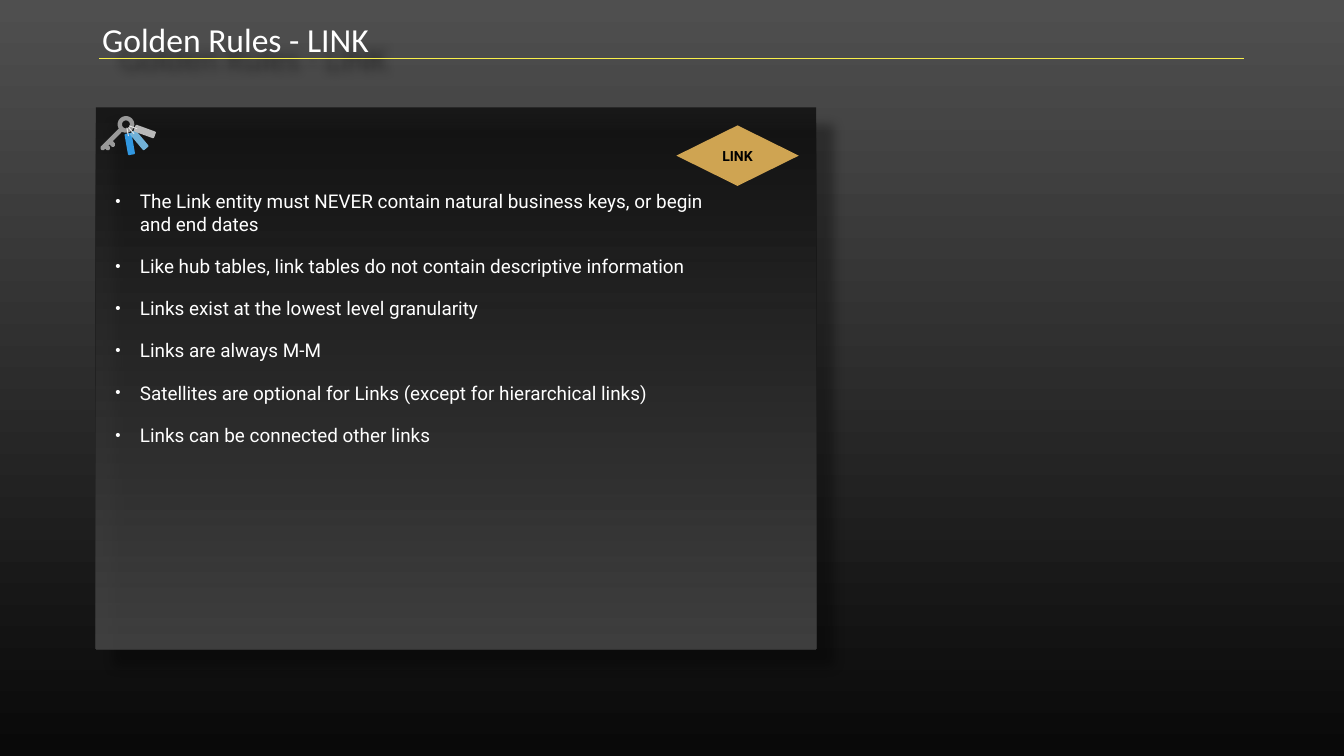
from dataclasses import dataclass
from math import cos, radians, sin

from lxml import etree
from pptx import Presentation
from pptx.dml.color import RGBColor
from pptx.enum.shapes import MSO_CONNECTOR, MSO_SHAPE
from pptx.enum.text import MSO_ANCHOR, PP_ALIGN
from pptx.oxml.ns import qn
from pptx.util import Cm, Pt

RECTANGLE = MSO_SHAPE.RECTANGLE
ROUNDED = MSO_SHAPE.ROUNDED_RECTANGLE
OVAL = MSO_SHAPE.OVAL
DIAMOND = MSO_SHAPE.DIAMOND
STRAIGHT = MSO_CONNECTOR.STRAIGHT
TOP, MIDDLE = MSO_ANCHOR.TOP, MSO_ANCHOR.MIDDLE
LEFT, CENTER = PP_ALIGN.LEFT, PP_ALIGN.CENTER

WHITE, BLACK, GOLD, YELLOW = "FFFFFF", "000000", "CFA452", "F8EF4A"
LIGHT, DARK, STEEL, CORD = "4F4F4F", "090909", "999999", "E5E5E5"

RULES = [
    "The Link entity must NEVER contain natural business keys, or begin and end dates",
    "Like hub tables, link tables do not contain descriptive information",
    "Links exist at the lowest level granularity",
    "Links are always M-M",
    "Satellites are optional for Links (except for hierarchical links)",
    "Links can be connected other links",
]


@dataclass
class Box:
    """Left, top, width and height in centimetres."""
    left: float
    top: float
    width: float
    height: float

    def lengths(self) -> tuple:
        return Cm(self.left), Cm(self.top), Cm(self.width), Cm(self.height)


@dataclass
class KeyTag:
    center_x: float
    center_y: float
    angle: int
    color: str
    hole_color: str


KEY_TAGS = [
    KeyTag(6.54, 7.26, 80, "3197E0", "3484C9"),
    KeyTag(7.02, 7.06, 50, "72B1D7", "649ABC"),
    KeyTag(7.3, 6.63, 20, "B9B9B9", STEEL),
]
RING_X, RING_Y, RING_OUTER, RING_INNER = 6.35, 6.27, 0.42, 0.2
BLADE = [
    (5.99, 6.48), (5.07, 7.4), (5.07, 7.51), (5.14, 7.57), (5.23, 7.57),
    (5.31, 7.49), (5.39, 7.57), (5.49, 7.57), (5.54, 7.51), (5.54, 7.4),
    (5.46, 7.32), (5.52, 7.28), (5.64, 7.4), (5.74, 7.4), (5.79, 7.34),
    (5.79, 7.22), (5.69, 7.11), (6.14, 6.65),
]


def rgb(color: str) -> RGBColor:
    return RGBColor.from_string(color)


def add_xml(parent, tag: str, **attributes):
    return etree.SubElement(parent, qn(tag), attributes)


def paint_gradient(fill, first: str, last: str) -> None:
    """Shade from first at the top to last at the bottom."""
    fill.gradient()
    fill.gradient_angle = 270
    for stop, color in zip(fill.gradient_stops, (first, last)):
        stop.color.rgb = rgb(color)


def add_plain(slide, kind, box: Box, color: str = WHITE, angle: float = 0):
    shape = slide.shapes.add_shape(kind, *box.lengths())
    shape.shadow.inherit = False
    shape.fill.solid()
    shape.fill.fore_color.rgb = rgb(color)
    shape.line.fill.background()
    shape.rotation = angle
    return shape


def cast_shadow(shape) -> None:
    shape.shadow.inherit = False
    effects = shape._element.spPr.find(qn("a:effectLst"))
    shadow = add_xml(effects, "a:outerShdw", blurRad=str(Pt(15)), dist=str(Pt(36)),
                     dir="2700000", algn="tl", rotWithShape="0")
    color = add_xml(shadow, "a:srgbClr", val="010101")
    add_xml(color, "a:alpha", val="46000")


def add_bullet(paragraph) -> None:
    properties = paragraph._p.get_or_add_pPr()
    properties.set("marL", str(Cm(1.24)))
    properties.set("indent", str(-Cm(1.24)))
    add_xml(add_xml(properties, "a:buClr"), "a:srgbClr", val=WHITE)
    add_xml(properties, "a:buSzPct", val="80000")
    add_xml(properties, "a:buFont", typeface="Arial")
    add_xml(properties, "a:buChar", char="•")


def write(shape, lines: list[str], font: dict, color: str, anchor=MIDDLE,
          align=LEFT, inset: float = 0.2, bullets: bool = False) -> None:
    frame = shape.text_frame
    layout = {"word_wrap": True, "vertical_anchor": anchor}
    layout |= {f"margin_{side}": Cm(inset) for side in ("left", "top", "right", "bottom")}
    for name, value in layout.items():
        setattr(frame, name, value)
    for number, line in enumerate(lines):
        paragraph = frame.add_paragraph() if number else frame.paragraphs[0]
        paragraph.alignment = align
        if number:
            paragraph.space_before = Pt(28)
        if bullets:
            add_bullet(paragraph)
        run = paragraph.add_run()
        run.text = line
        for name, value in font.items():
            setattr(run.font, name, value)
        run.font.color.rgb = rgb(color)


def circle(radius: float, start: int, end: int) -> list[tuple]:
    """Points around the key ring, from start down to end in degrees."""
    return [(Cm(RING_X + radius * cos(radians(angle))),
             Cm(RING_Y + radius * sin(radians(angle))))
            for angle in range(start, end, -10)]


def draw_key(slide) -> None:
    blade = [(Cm(x), Cm(y)) for x, y in BLADE]
    hole = circle(RING_INNER, 360, 0)
    outline = slide.shapes.build_freeform(*blade[0])
    outline.add_line_segments(blade[1:] + circle(RING_OUTER, 110, -210))
    outline.move_to(*hole[0])
    outline.add_line_segments(hole[1:])
    key = outline.convert_to_shape()
    key.shadow.inherit = False
    key.fill.solid()
    key.fill.fore_color.rgb = rgb(STEEL)
    key.line.fill.background()


def draw_key_tag(slide, tag: KeyTag) -> None:
    """Draw the tag, its hole and its cord along one tilted axis."""
    parts = [(ROUNDED, 0, 1.09, 0.36, tag.color),
             (OVAL, 0.45, 0.08, 0.08, tag.hole_color),
             (ROUNDED, 0.62, 0.43, 0.05, CORD)]
    for kind, distance, width, height, color in parts:
        x = tag.center_x - distance * cos(radians(tag.angle))
        y = tag.center_y - distance * sin(radians(tag.angle))
        box = Box(x - width / 2, y - height / 2, width, height)
        add_plain(slide, kind, box, color, tag.angle)


def main() -> None:
    deck = Presentation()
    deck.slide_width, deck.slide_height = Cm(67.74), Cm(38.1)
    slide = deck.slides.add_slide(deck.slide_layouts[6])
    paint_gradient(slide.background.fill, LIGHT, DARK)

    title = slide.shapes.add_textbox(*Box(4.95, 0.99, 26.85, 1.96).lengths())
    write(title, ["Golden Rules - LINK"], {"name": "Calibri", "size": Pt(48)}, WHITE)
    cast_shadow(title)

    underline = slide.shapes.add_connector(STRAIGHT, Cm(5), Cm(2.92), Cm(62.71), Cm(2.92))
    underline.line.color.rgb = rgb(YELLOW)
    underline.line.width = Pt(1)
    add_xml(underline._element.spPr, "a:effectLst")

    panel = add_plain(slide, RECTANGLE, Box(4.83, 5.41, 36.3, 27.31))
    paint_gradient(panel.fill, DARK, LIGHT)
    for color in panel._element.spPr.iter(qn("a:srgbClr")):
        add_xml(color, "a:alpha", val="75000")
    cast_shadow(panel)

    draw_key(slide)
    for tag in KEY_TAGS:
        draw_key_tag(slide, tag)

    rules = slide.shapes.add_textbox(*Box(5.61, 9.35, 31.24, 13.16).lengths())
    write(rules, RULES, {"name": "Roboto", "size": Pt(27)}, WHITE, anchor=TOP, bullets=True)

    link = add_plain(slide, DIAMOND, Box(34.09, 6.32, 6.17, 3.05), GOLD)
    write(link, ["LINK"], {"name": "Roboto", "size": Pt(20), "bold": True}, BLACK,
          align=CENTER, inset=0.15)

    deck.save("out.pptx")


if __name__ == "__main__":
    main()
